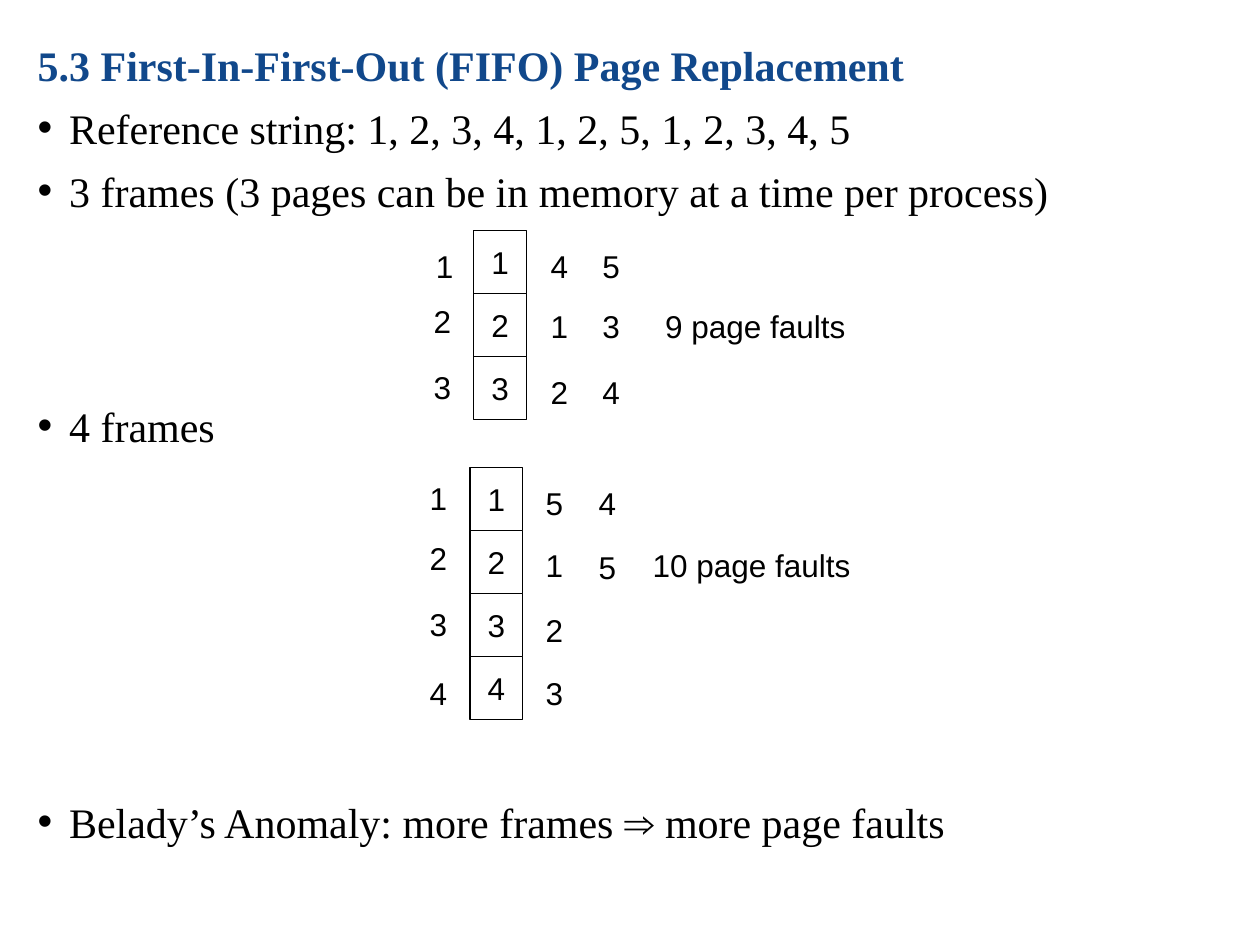
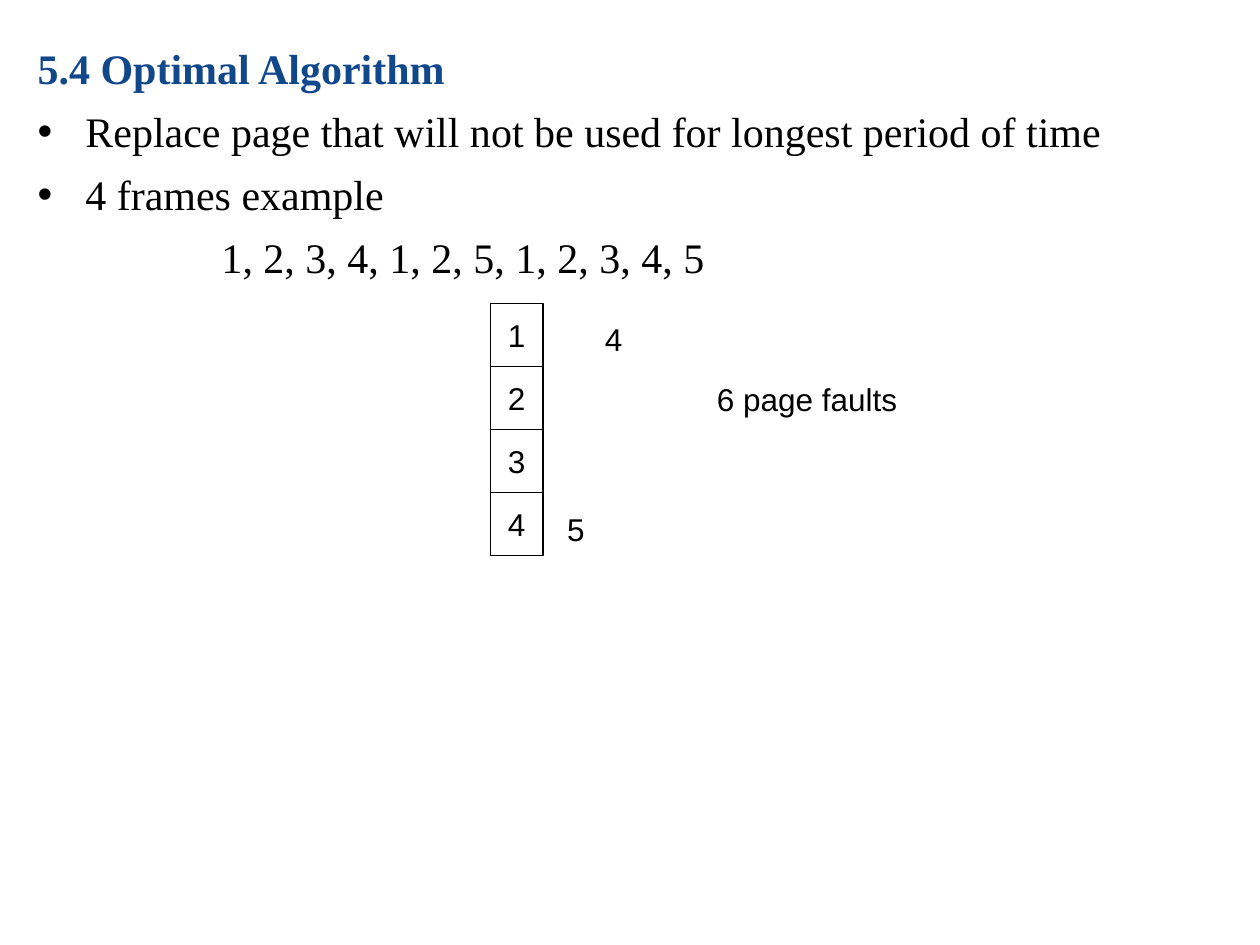
from lxml import etree
from pptx import Presentation
from pptx import util as u
from pptx.dml.color import RGBColor
from pptx.enum import shapes, text
from pptx.oxml import ns

COLORS = {"title": "11488B", "ink": "000000", "paper": "FFFFFF"}
TITLE = {"name": "Times New Roman", "size": u.Pt(24), "bold": True}
BODY = {**TITLE, "bold": False}
SYMBOL = {**BODY, "name": "Arial"}
DIGIT = {"name": "Arial", "size": u.Pt(18), "bold": False}
CELL_W, CELL_H = 0.42, 0.5
LABEL_W, LABEL_H = 0.34, 0.4
GAP = 7.2  # points between body paragraphs


def color(name):
    return RGBColor.from_string(COLORS[name])


class Deck:
    def __init__(self):
        self.prs = Presentation()
        self.prs.slide_width, self.prs.slide_height = u.Inches(10), u.Inches(7.5)
        self.s = None

    def add_slide(self):
        self.s = self.prs.slides.add_slide(self.prs.slide_layouts[6])
        fill = self.s.background.fill
        fill.solid()
        fill.fore_color.rgb = color("paper")

    def add_run(self, p, words, style, ink="ink"):
        r = p.add_run()
        r.text = words
        for key, value in style.items():
            setattr(r.font, key, value)
        r.font.color.rgb = color(ink)

    def set_indent(self, p, left, hanging=0, bullet=False):
        pPr = p._p.get_or_add_pPr()
        pPr.set("marL", str(u.Inches(left)))
        pPr.set("indent", str(-u.Inches(hanging)))
        if bullet:
            clr = etree.SubElement(pPr, ns.qn("a:buClr"))
            etree.SubElement(clr, ns.qn("a:srgbClr"), val=COLORS["ink"])
            etree.SubElement(pPr, ns.qn("a:buFont"), typeface="Arial")
            etree.SubElement(pPr, ns.qn("a:buChar"), char="•")

    def add_body(self, top, width, height, title, hanging, bullets):
        """Title line plus bullets given as (space before, [(words, style), ...])."""
        sp = self.s.shapes.add_textbox(*map(u.Inches, (0.2, top, width, height)))
        tf = sp.text_frame
        tf.word_wrap = True
        tf.margin_top = u.Inches(0.1)
        p = tf.paragraphs[0]
        self.set_indent(p, hanging, hanging)
        self.add_run(p, title, TITLE, "title")
        for space, runs in bullets:
            p = tf.add_paragraph()
            self.set_indent(p, hanging, hanging, bullet=True)
            p.space_before = u.Pt(space)
            for words, style in runs:
                self.add_run(p, words, style)
        return tf

    def center_text(self, sp, words):
        tf = sp.text_frame
        tf.word_wrap = False
        tf.vertical_anchor = text.MSO_ANCHOR.MIDDLE
        p = tf.paragraphs[0]
        p.alignment = text.PP_ALIGN.CENTER
        self.add_run(p, words, DIGIT)

    def add_frames(self, left, top, count):
        """Stack of memory frames, numbered from 1."""
        for i in range(count):
            sp = self.s.shapes.add_shape(
                shapes.MSO_SHAPE.RECTANGLE,
                *map(u.Inches, (left, top + i * CELL_H, CELL_W, CELL_H)))
            sp.shadow.inherit = False
            sp.fill.solid()
            sp.fill.fore_color.rgb = color("paper")
            sp.line.color.rgb = color("ink")
            sp.line.width = u.Pt(0.75)
            self.center_text(sp, str(i + 1))

    def add_label(self, left, top, words, width=LABEL_W):
        sp = self.s.shapes.add_textbox(*map(u.Inches, (left, top, width, LABEL_H)))
        self.center_text(sp, words)

    def add_column(self, left, tops, digits):
        for top, digit in zip(tops, digits):
            self.add_label(left, top, digit)


def fifo_slide(deck):
    deck.add_slide()
    deck.add_body(0.21, 9.59, 6.86, "5.3 First-In-First-Out (FIFO) Page Replacement", 0.25, [
        (GAP, [("Reference string: 1, 2, 3, 4, 1, 2, 5, 1, 2, 3, 4, 5", BODY)]),
        (GAP, [("3 frames (3 pages can be in memory at a time per process)", BODY)]),
        (105.5, [("4 frames", BODY)]),
        (197.5, [("Belady’s Anomaly: more frames ", BODY), ("⇒", SYMBOL),
                 (" more page faults", BODY)]),
    ])

    deck.add_frames(3.76, 1.83, 3)
    deck.add_label(3.36, 1.91, "1")
    deck.add_column(3.34, (2.35, 2.87), "23")
    three_rows = (1.91, 2.39, 2.91)
    deck.add_column(4.27, three_rows, "412")
    deck.add_column(4.68, three_rows, "534")
    deck.add_label(5.18, 2.39, "9 page faults", 1.63)

    deck.add_frames(3.73, 3.71, 4)
    deck.add_column(3.31, (3.75, 4.23, 4.75, 5.3), "1234")
    deck.add_column(4.23, (3.79, 4.28, 4.8, 5.3), "5123")
    deck.add_column(4.65, (3.79, 4.3), "45")
    deck.add_label(5.08, 4.28, "10 page faults", 1.77)


def optimal_slide(deck):
    deck.add_slide()
    tf = deck.add_body(0.24, 9, 4.95, "5.4 Optimal Algorithm", 0.38, [
        (GAP, [("Replace page that will not be used for longest period of time", BODY)]),
        (GAP, [("4 frames example", BODY)]),
    ])
    p = tf.add_paragraph()
    deck.set_indent(p, 1.46)
    p.space_before = u.Pt(GAP)
    deck.add_run(p, "1, 2, 3, 4, 1, 2, 5, 1, 2, 3, 4, 5", BODY)

    deck.add_frames(3.89, 2.41, 4)
    deck.add_label(4.7, 2.49, "4")
    deck.add_label(4.4, 4, "5")
    deck.add_label(5.59, 2.97, "6 page faults", 1.63)


def main():
    deck = Deck()
    fifo_slide(deck)
    optimal_slide(deck)
    deck.prs.save("out.pptx")


if __name__ == "__main__":
    main()
